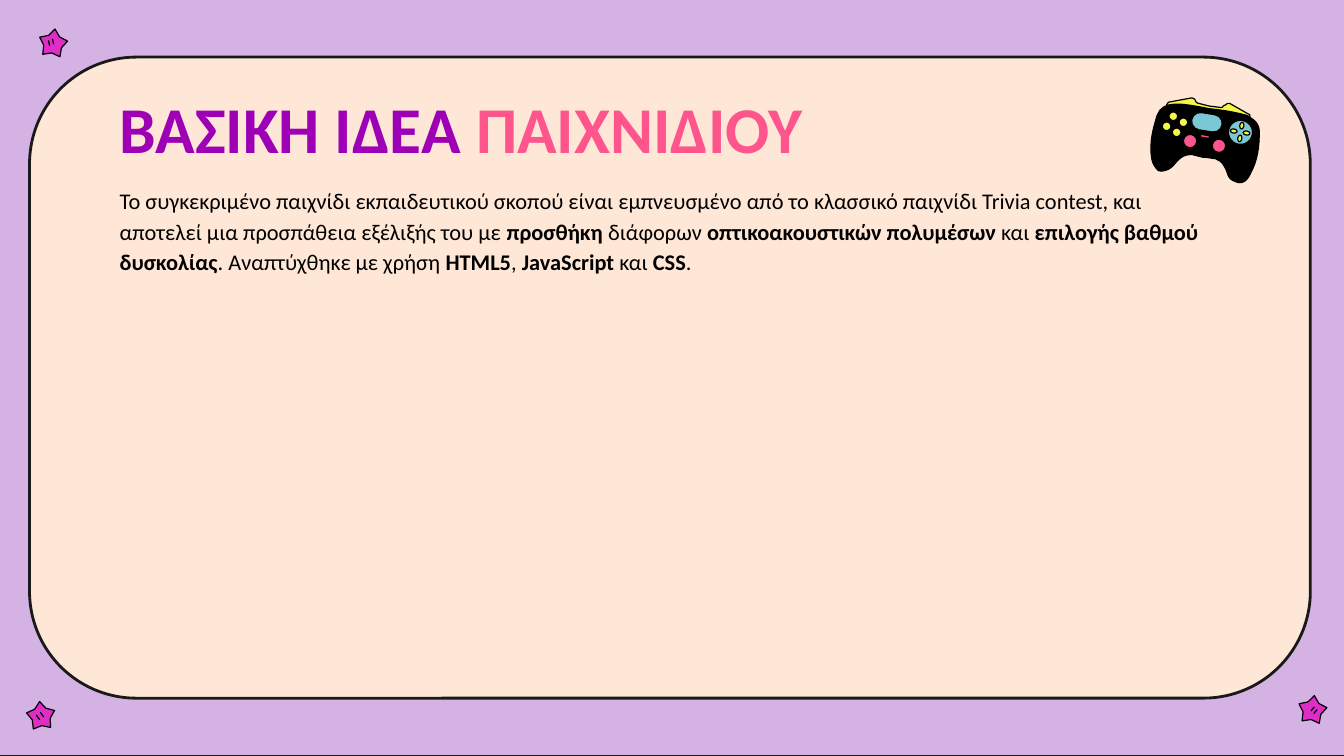
from math import cos, radians, sin

from lxml.etree import SubElement
from pptx import Presentation
from pptx.dml.color import RGBColor
from pptx.enum.shapes import MSO_CONNECTOR, MSO_SHAPE
from pptx.enum.text import MSO_ANCHOR, PP_ALIGN
from pptx.oxml.ns import qn
from pptx.util import Inches, Pt

COLUMNS = 1000
ROWS = COLUMNS * 9 / 16
CELL = Inches(10) / COLUMNS
FONT = "Calibri"
INK, BLACK = "191919", "000000"
LILAC, CREAM, MAGENTA = "D4B2E4", "FFE7D7", "DF2EC7"
PURPLE, PINK, YELLOW, BLUE = "9E00B5", "FE558C", "F6F645", "7BC7D6"
THIN = 0.64
TILT = 9

STARS = [
    (39.5, 32.5, 8, [(-3.5, -2.5), (-0.5, -3.5)], (1, 4)),
    (976.5, 528.5, 8, [(3.5, -0.5), (1.5, -2.5)], (-2.5, 3)),
    (30.5, 533, -5, [(-3.5, -1), (-0.5, -3)], (2.5, 3.5)),
]

SHOULDERS = [
    (914, 77), (914, 77, 913, 77, 912, 78), (910, 79), (910, 80, 909, 80, 908, 80),
    (900, 79), (892, 77), (891, 77, 890, 76, 890, 76), (889, 74),
    (888, 73, 887, 73, 886, 73), (870, 76), (869, 76, 869, 77, 868, 78), (868, 81),
    (868, 83, 869, 84, 870, 84), (898, 88), (927, 93), (928, 93, 930, 92, 930, 91),
    (930, 87), (930, 86, 930, 85, 929, 85), (915, 77),
]

BODY = [
    (928, 86), (921, 84, 911, 82, 900, 81), (880, 77, 865, 74, 861, 86),
    (858, 96, 855, 106, 857, 118), (858, 123, 860, 125, 862, 127),
    (866, 128, 871, 126, 874, 122), (879, 116, 882, 115, 887, 115),
    (891, 116, 895, 117, 895, 117), (895, 117, 898, 117, 903, 118),
    (904, 118, 905, 118, 906, 119), (909, 120, 911, 123, 913, 128),
    (914, 132, 916, 134, 919, 135), (923, 137, 927, 136, 930, 130),
    (936, 119, 937, 109, 937, 98), (937, 92, 933, 89, 928, 86),
]

BUTTONS = [
    (923, 98.5, 18, 18, BLUE),
    (924, 93.5, 3, 5, YELLOW),
    (918, 97.5, 5, 3, YELLOW),
    (922.5, 103, 3, 5, YELLOW),
    (927.5, 99, 5, 3, YELLOW),
    (907, 108.5, 10, 10, PINK),
    (885.5, 105, 10, 10, PINK),
    (875.5, 98.5, 6.5, 6.5, YELLOW),
    (873, 86.5, 6.5, 6.5, YELLOW),
    (868, 94, 6.5, 6.5, YELLOW),
    (880.5, 91, 6.5, 6.5, YELLOW),
]

PILLS = [(898, 91, 23, 13, BLUE), (896.5, 101.5, 7, 2, PINK)]


def grid(value):
    return round(value * CELL)


def color(hex_value):
    return RGBColor.from_string(hex_value)


def paint(shape, fill, line, width):
    shape.shadow.inherit = False
    shape.fill.solid()
    shape.fill.fore_color.rgb = color(fill)
    shape.line.color.rgb = color(line)
    shape.line.width = Pt(width)


def add_preset(page, kind, left, top, width, height, fill, line=BLACK, weight=THIN):
    shape = page.shapes.add_shape(kind, grid(left), grid(top), grid(width), grid(height))
    paint(shape, fill, line, weight)
    return shape


def add_tilted(page, kind, center_x, center_y, width, height, fill):
    shape = add_preset(
        page, kind, center_x - width / 2, center_y - height / 2, width, height, fill
    )
    shape.rotation = TILT
    return shape


def flatten(outline, steps=8):
    points = [outline[0]]
    for segment in outline[1:]:
        if len(segment) == 2:
            points.append(segment)
            continue
        nodes = [points[-1], segment[:2], segment[2:4], segment[4:]]
        for step in range(1, steps + 1):
            t = step / steps
            weights = ((1 - t) ** 3, 3 * t * (1 - t) ** 2, 3 * t * t * (1 - t), t ** 3)
            points.append(
                tuple(sum(w * node[axis] for w, node in zip(weights, nodes)) for axis in (0, 1))
            )
    return points


def add_outline(page, points, fill):
    vertices = [(grid(x), grid(y)) for x, y in points]
    builder = page.shapes.build_freeform(*vertices[0], scale=1.0)
    builder.add_line_segments(vertices[1:], close=True)
    paint(builder.convert_to_shape(), fill, BLACK, THIN)


def add_stroke(page, x, y, run_x, run_y):
    stroke = page.shapes.add_connector(
        MSO_CONNECTOR.STRAIGHT, grid(x), grid(y), grid(x + run_x), grid(y + run_y)
    )
    stroke.line.color.rgb = color(BLACK)
    stroke.line.width = Pt(THIN)
    SubElement(stroke._element.spPr, qn("a:effectLst"))


def add_star(page, center_x, center_y, turn, eyes, eye_run):
    points = []
    for index in range(10):
        radius = 7 if index % 2 else 11
        angle = radians(turn + 36 * index)
        points.append((center_x + radius * sin(angle), center_y - radius * cos(angle)))
    add_outline(page, points, MAGENTA)
    for x, y in eyes:
        add_stroke(page, center_x + x, center_y + y, *eye_run)


def add_controller(page):
    add_outline(page, flatten(SHOULDERS), YELLOW)
    add_outline(page, flatten(BODY), BLACK)
    for button in BUTTONS:
        add_tilted(page, MSO_SHAPE.OVAL, *button)
    for pill in PILLS:
        add_tilted(page, MSO_SHAPE.ROUNDED_RECTANGLE, *pill).adjustments[0] = 0.5


def fill_placeholder(page, box, place, anchor, size, spacing, runs):
    page.shapes._spTree.append(box._element)
    box.left, box.top, box.width, box.height = (grid(value) for value in place)
    frame = box.text_frame
    frame.word_wrap = True
    frame.vertical_anchor = anchor
    frame.margin_left = frame.margin_right = grid(10)
    frame.margin_top = frame.margin_bottom = grid(10)
    para = frame.paragraphs[0]
    properties = para._p.get_or_add_pPr()
    properties.set("marL", "0")
    properties.set("indent", "0")
    SubElement(properties, qn("a:buNone"))
    para.alignment = PP_ALIGN.LEFT
    para.line_spacing = spacing
    para.space_before = Pt(0)
    for text, bold, hex_value in runs:
        span = para.add_run()
        span.text = text
        span.font.name = FONT
        span.font.size = Pt(size)
        span.font.bold = bold
        span.font.color.rgb = color(hex_value)


def main():
    deck = Presentation()
    deck.slide_width, deck.slide_height = grid(COLUMNS), grid(ROWS)
    page = deck.slides.add_slide(deck.slide_layouts[1])
    add_preset(page, MSO_SHAPE.RECTANGLE, -3, -2, 1018, 564, LILAC, INK, 0.75)
    add_preset(page, MSO_SHAPE.ROUNDED_RECTANGLE, 22, 42.5, 953, 477, CREAM, INK, 1.5)
    for star in STARS:
        add_star(page, *star)
    title_runs = [("ΒΑΣΙΚΗ ΙΔΕΑ ", True, PURPLE), ("ΠΑΙΧΝΙΔΙΟΥ", True, PINK)]
    fill_placeholder(
        page, page.shapes.title, (79, 63, 843, 63), MSO_ANCHOR.MIDDLE, 35, 1.0, title_runs
    )
    body_texts = [
        "Το συγκεκριμένο παιχνίδι εκπαιδευτικού σκοπού είναι εμπνευσμένο από το κλασσικό "
        "παιχνίδι Trivia contest, και αποτελεί μια προσπάθεια εξέλιξής του με ",
        "προσθήκη", " διάφορων ", "οπτικοακουστικών πολυμέσων", " και ",
        "επιλογής βαθμού δυσκολίας", ". Αναπτύχθηκε με χρήση ",
        "HTML5", ", ", "JavaScript ", "και ", "CSS", ".",
    ]
    body_runs = [(text, index % 2 == 1, BLACK) for index, text in enumerate(body_texts)]
    fill_placeholder(
        page, page.placeholders[1], (79, 126, 836, 374), MSO_ANCHOR.TOP, 12, 1.15, body_runs
    )
    add_controller(page)
    deck.save("out.pptx")


if __name__ == "__main__":
    main()
